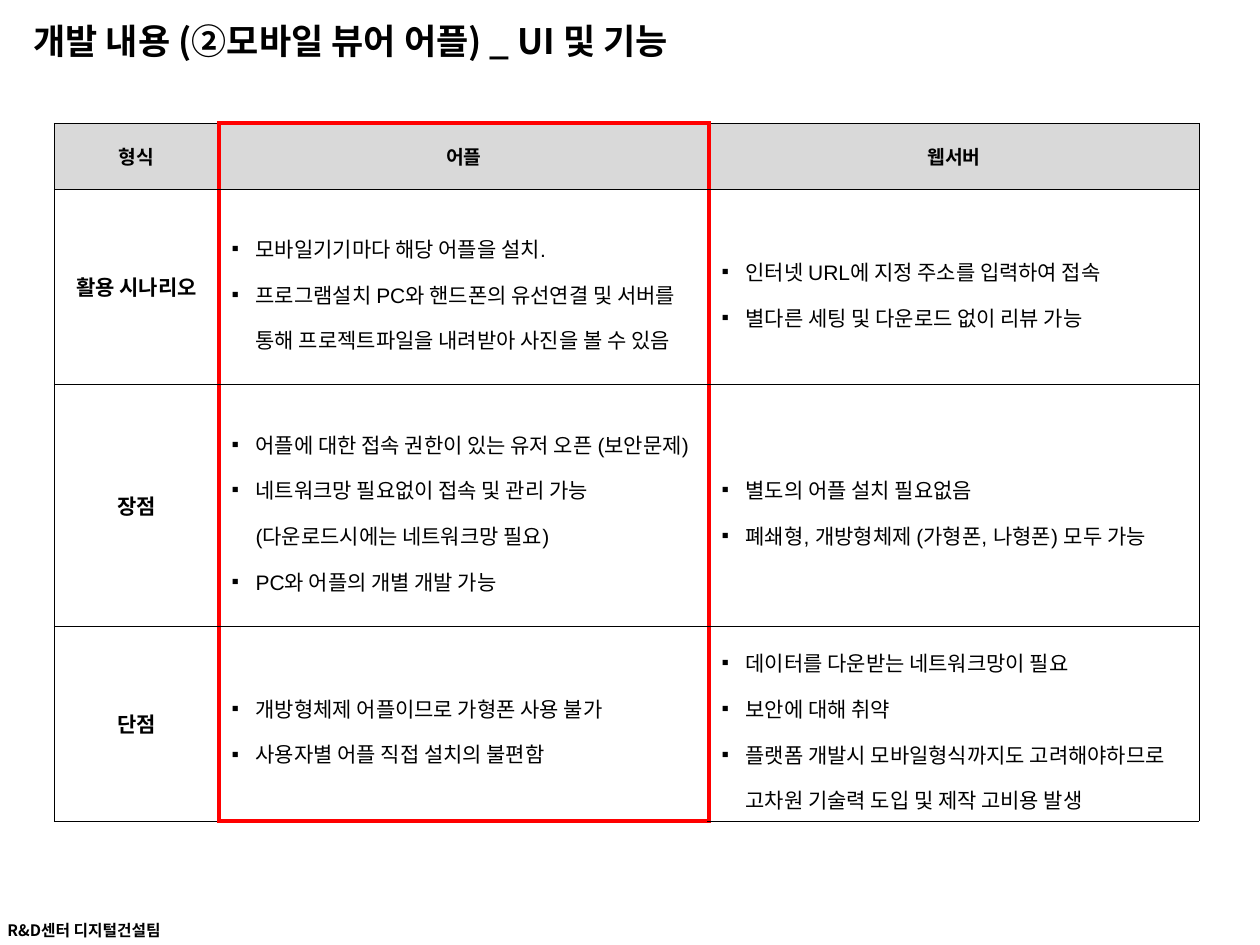
from lxml.etree import SubElement
from pptx import Presentation
from pptx.dml.color import RGBColor
from pptx.enum.text import MSO_ANCHOR, MSO_AUTO_SIZE, PP_ALIGN
from pptx.oxml.ns import qn
from pptx.util import Pt

PX = 914400 // 126
BLACK = RGBColor(0, 0, 0)
RED = RGBColor(255, 0, 0)
HEADER_GRAY = RGBColor(0xD9, 0xD9, 0xD9)
KOREAN_FONT = "Noto Sans CJK KR"
BULLET_INDENT = 24

COLUMN_WIDTHS = [165, 490, 490]
ROW_HEIGHTS = [66, 195, 242, 195]
APP_COLUMN = 1

HEADINGS = ["형식", "어플", "웹서버"]
COMPARISON = [
    ("활용 시나리오",
     ["모바일기기마다 해당 어플을 설치.",
      "프로그램설치 PC와 핸드폰의 유선연결 및 서버를 통해 프로젝트파일을 내려받아 사진을 볼 수 있음"],
     ["인터넷 URL에 지정 주소를 입력하여 접속",
      "별다른 세팅 및 다운로드 없이 리뷰 가능"]),
    ("장점",
     ["어플에 대한 접속 권한이 있는 유저 오픈 (보안문제)",
      "네트워크망 필요없이 접속 및 관리 가능 (다운로드시에는 네트워크망 필요)",
      "PC와 어플의 개별 개발 가능"],
     ["별도의 어플 설치 필요없음",
      "폐쇄형, 개방형체제 (가형폰, 나형폰) 모두 가능"]),
    ("단점",
     ["개방형체제 어플이므로 가형폰 사용 불가",
      "사용자별 어플 직접 설치의 불편함"],
     ["데이터를 다운받는 네트워크망이 필요",
      "보안에 대해 취약",
      "플랫폼 개발시 모바일형식까지도 고려해야하므로 고차원 기술력 도입 및 제작 고비용 발생"]),
]


def px(length):
    return length * PX


def place(box, left, top, width, height):
    box.left, box.top, box.width, box.height = map(px, (left, top, width, height))


def add_bullet(paragraph):
    properties = paragraph._p.get_or_add_pPr()
    properties.set("marL", str(px(BULLET_INDENT)))
    properties.set("indent", str(-px(BULLET_INDENT)))
    SubElement(properties, qn("a:buFont"), typeface="Arial")
    SubElement(properties, qn("a:buChar"), char="▪")


def write(frame, lines, size=12, font="Arial", bold=False, align=PP_ALIGN.LEFT,
          bullets=False, spacing=None):
    for index, line in enumerate(lines):
        paragraph = frame.add_paragraph() if index else frame.paragraphs[0]
        paragraph.alignment = align
        if spacing:
            paragraph.line_spacing = spacing
        if bullets:
            add_bullet(paragraph)
        run = paragraph.add_run()
        run.text = line
        run.font.name = font
        run.font.size = Pt(size)
        run.font.bold = bold
        run.font.color.rgb = BLACK
        SubElement(run._r.get_or_add_rPr(), qn("a:ea"), typeface=KOREAN_FONT)


def add_border(cell, side, color, width):
    line = SubElement(cell._tc.get_or_add_tcPr(), qn(f"a:ln{side}"), w=str(Pt(width)))
    fill = SubElement(line, qn("a:solidFill"))
    SubElement(fill, qn("a:srgbClr"), val=str(color))


def frame_cell(cell, row, column):
    last_row = len(ROW_HEIGHTS) - 1
    in_app = column == APP_COLUMN
    highlighted = {
        "L": column in (APP_COLUMN, APP_COLUMN + 1),
        "R": column in (APP_COLUMN - 1, APP_COLUMN),
        "T": in_app and row == 0,
        "B": in_app and row == last_row,
    }
    for side, is_red in highlighted.items():
        add_border(cell, side, RED if is_red else BLACK, 2.25 if is_red else 0.25)


def add_title(slide, text):
    title = slide.shapes.title
    place(title, 21, 13, 1168, 55)
    title.text_frame.vertical_anchor = MSO_ANCHOR.MIDDLE
    title.text_frame.auto_size = MSO_AUTO_SIZE.NONE
    write(title.text_frame, [text], size=20, font=KOREAN_FONT, bold=True)


def add_team_label(slide, text):
    label = slide.shapes.add_textbox(px(-5), px(915), px(194), px(32))
    label.text_frame.word_wrap = False
    write(label.text_frame, [text], size=9, font=KOREAN_FONT, bold=True)


def add_comparison(slide):
    rows = [HEADINGS, *COMPARISON]
    table = slide.shapes.add_table(
        len(rows), len(HEADINGS), px(54), px(123),
        px(sum(COLUMN_WIDTHS)), px(sum(ROW_HEIGHTS))).table
    table.horz_banding = False
    for column, width in zip(table.columns, COLUMN_WIDTHS):
        column.width = px(width)
    for row, height in zip(table.rows, ROW_HEIGHTS):
        row.height = px(height)
    for row, contents in enumerate(rows):
        for column, content in enumerate(contents):
            cell = table.cell(row, column)
            cell.vertical_anchor = MSO_ANCHOR.MIDDLE
            frame_cell(cell, row, column)
            if row == 0:
                cell.fill.solid()
                cell.fill.fore_color.rgb = HEADER_GRAY
            else:
                cell.fill.background()
            if isinstance(content, list):
                write(cell.text_frame, content, bullets=True, spacing=1.5)
            else:
                write(cell.text_frame, [content], size=12 if row else 11,
                      bold=True, align=PP_ALIGN.CENTER)


def main():
    presentation = Presentation()
    presentation.slide_width = px(1260)
    presentation.slide_height = px(945)
    slide = presentation.slides.add_slide(presentation.slide_layouts[5])
    add_team_label(slide, "R&D센터 디지털건설팀")
    add_title(slide, "개발 내용 (②모바일 뷰어 어플) _ UI 및 기능")
    add_comparison(slide)
    presentation.save("out.pptx")


if __name__ == "__main__":
    main()
